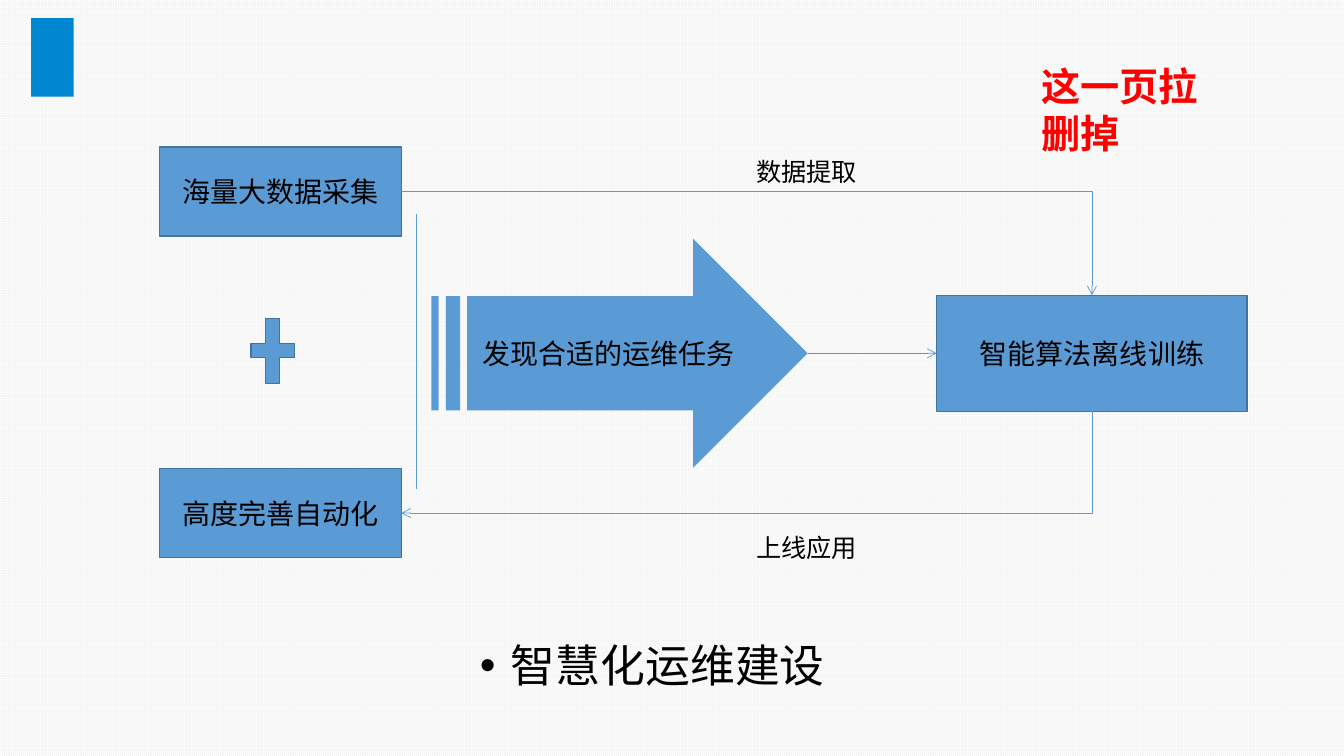
from pptx import Presentation, util as u
from pptx.dml.color import RGBColor
from pptx.enum import dml, shapes, text
from pptx.oxml.ns import qn
from lxml import etree

FONT = "Noto Sans CJK SC"
BLUE, EDGE, BLACK = "5B9BD5", "43739E", "000000"
rgb = RGBColor.from_string


def write(sp, words, **fmt):
    """Fill a text frame with one run and apply the font values."""
    tf = sp.text_frame
    p = tf.paragraphs[0]
    r = p.add_run()
    r.text = words
    color = fmt.pop("color", BLACK)
    for key, value in {"name": FONT, **fmt}.items():
        setattr(r.font, key, value)
    r.font.color.rgb = rgb(color)
    etree.SubElement(r.font._element, qn("a:ea"), typeface=FONT)
    return tf, p


def style_line(c, arrow=True):
    """Thin blue line without shadow, with an open arrowhead if wanted."""
    c.line.width = u.Pt(0.5)
    c.line.color.rgb = rgb(BLUE)
    if arrow:
        etree.SubElement(c.line._get_or_add_ln(), qn("a:tailEnd"), type="arrow")
    etree.SubElement(c._element.spPr, qn("a:effectLst"))


prs = Presentation()
prs.slide_width, prs.slide_height = u.Inches(13.33), u.Inches(7.5)
s = prs.slides.add_slide(prs.slide_layouts[6])

# Background grid
bg = s.background.fill
bg.patterned()
bg.pattern = dml.MSO_PATTERN.SMALL_GRID
bg.fore_color.rgb, bg.back_color.rgb = rgb("F6F6F6"), rgb("FFFFFF")

# Columns (left, width) and rows (top, height)
SOURCE, ARROW, TRAIN = (1.58, 2.4), (4.28, 3.73), (9.29, 3.08)
TOP, MID, BOTTOM = (1.46, 0.88), (2.93, 1.15), (4.65, 0.88)

# Corner marker, boxes, plus sign and big arrow
G = shapes.MSO_SHAPE
parts = {}
for name, kind, (x, w), (y, h), fill, edge, words in [
    ("marker", G.RECTANGLE, (0.31, 0.42), (0.18, 0.78), "0085D0", None, ""),
    ("collect", G.RECTANGLE, SOURCE, TOP, BLUE, EDGE, "海量大数据采集"),
    ("automate", G.RECTANGLE, SOURCE, BOTTOM, BLUE, EDGE, "高度完善自动化"),
    ("plus", G.MATH_PLUS, (2.41, 0.59), (3.04, 0.88), BLUE, EDGE, ""),
    ("tasks", G.STRIPED_RIGHT_ARROW, ARROW, (2.37, 2.27), BLUE, None, "发现合适的运维任务"),
    ("train", G.RECTANGLE, TRAIN, MID, BLUE, EDGE, "智能算法离线训练"),
]:
    sp = s.shapes.add_shape(kind, *map(u.Inches, (x, y, w, h)))
    sp.shadow.inherit = False
    sp.fill.solid()
    sp.fill.fore_color.rgb = rgb(fill)
    if edge:
        sp.line.color.rgb = rgb(edge)
        sp.line.width = u.Pt(1)
    else:
        sp.line.fill.background()
    if words:
        tf, p = write(sp, words, size=u.Pt(20))
        tf.vertical_anchor = text.MSO_ANCHOR.MIDDLE
        p.alignment = text.PP_ALIGN.CENTER
    parts[name] = sp

# Joined connectors: start, side, end, side
C = shapes.MSO_CONNECTOR
links = []
for kind, start, out, end, into in [
    (C.ELBOW, "train", 2, "automate", 3),
    (C.STRAIGHT, "tasks", 3, "train", 1),
    (C.ELBOW, "collect", 3, "train", 0),
]:
    c = s.shapes.add_connector(kind, 0, 0, 0, 0)
    c.begin_connect(parts[start], out)
    c.end_connect(parts[end], into)
    if kind == C.ELBOW:
        c._element.spPr.find(qn("a:prstGeom")).set("prst", "bentConnector2")
    style_line(c)
    links.append(c)

# The return link leaves downwards: a quarter turn about its centre
back = links[0]
w, h = back.width, back.height
x, y = back.left + (w - h) // 2, back.top + (h - w) // 2
back.left, back.top, back.width, back.height = x, y, h, w
xfrm = back._element.spPr.find(qn("a:xfrm"))
xfrm.attrib.pop("flipH", None)
xfrm.set("rot", "5400000")

# Divider beside the sources
divider = s.shapes.add_connector(C.STRAIGHT, *map(u.Inches, (4.13, 2.12, 4.13, 4.85)))
style_line(divider, arrow=False)

# Labels, remark and caption
for box, wrap, words, fmt in [
    ((7.4, 1.5, 1.21, 0.4), False, "数据提取", {"size": u.Pt(18)}),
    ((7.4, 5.23, 1.21, 0.4), False, "上线应用", {"size": u.Pt(18)}),
    ((10.23, 0.57, 1.96, 1.04), True, "这一页拉删掉",
     {"size": u.Pt(28), "bold": True, "color": "FF0000"}),
    ((4.66, 6.28, 4.31, 0.64), True, "智慧化运维建设", {"size": u.Pt(32)}),
]:
    sp = s.shapes.add_textbox(*map(u.Inches, box))
    tf, p = write(sp, words, **fmt)
    tf.word_wrap = wrap
    tf.auto_size = text.MSO_AUTO_SIZE.SHAPE_TO_FIT_TEXT

# Bullet of the caption, the last box
pPr = p._p.get_or_add_pPr()
indent = u.Inches(0.31)
pPr.set("marL", str(indent))
pPr.set("indent", str(-indent))
etree.SubElement(pPr, qn("a:buFont"), typeface="Arial")
etree.SubElement(pPr, qn("a:buChar"), char="•")

prs.save("out.pptx")
